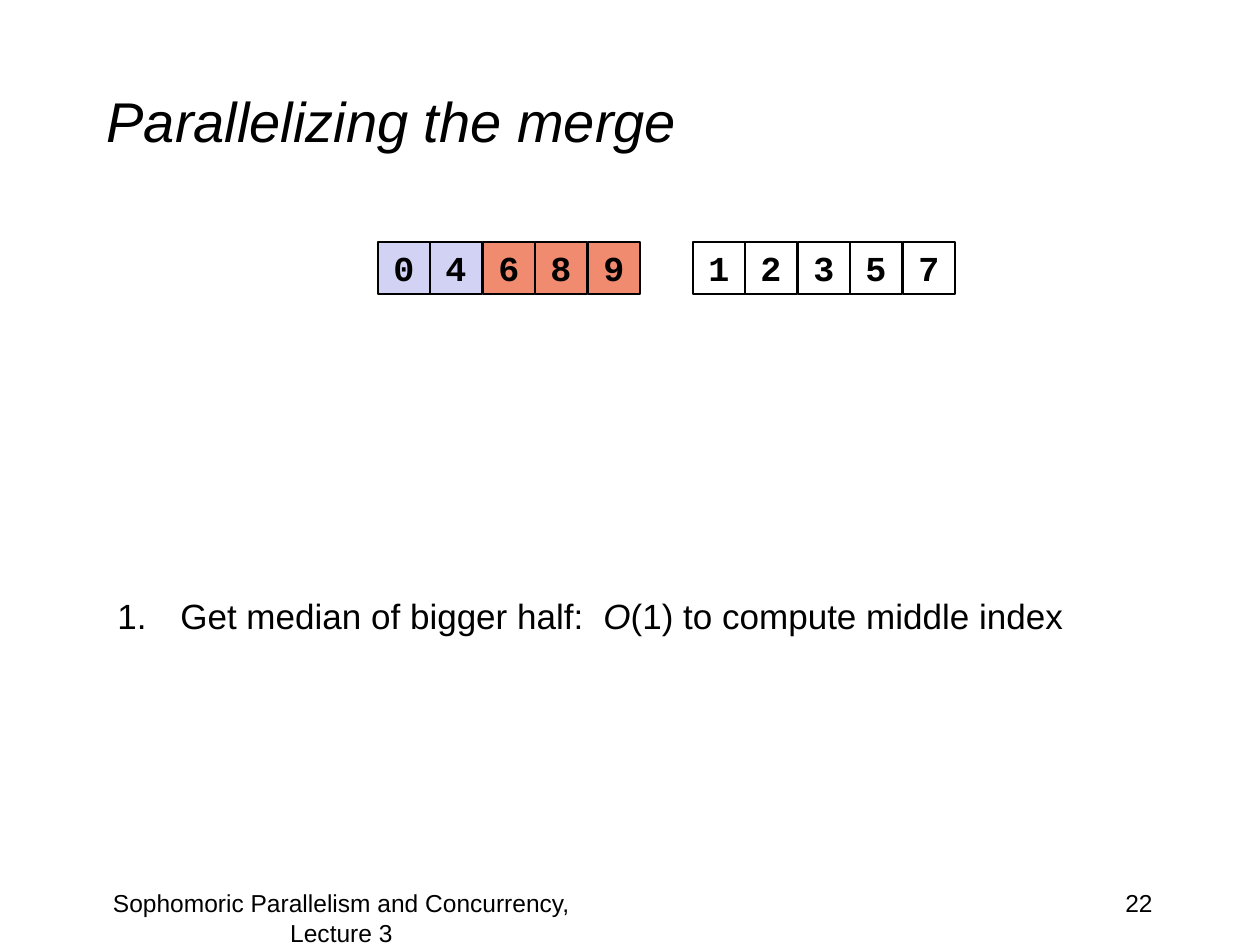
from lxml import etree
from pptx import Presentation
from pptx.dml.color import RGBColor
from pptx.enum import shapes, text
from pptx.oxml.ns import qn
from pptx.util import Emu, Pt

COLORS = {"ink": "000000", "lower": "D2D2F4", "upper": "F18B6F"}
PX = 914400 // 126
ALIGN = text.PP_ALIGN
ANCHOR = text.MSO_ANCHOR


def px(*lengths):
    return [Emu(length * PX) for length in lengths]


def write(paragraph, words, size=20, font="Arial", bold=False, italic=False, color="ink"):
    run = paragraph.add_run()
    run.text = words
    run.font.size = Pt(size)
    run.font.name = font
    run.font.bold = bold
    run.font.italic = italic
    run.font.color.rgb = RGBColor.from_string(COLORS[color])


class MergeSlide:
    cell_side = 52
    line_width = 0.75

    def __init__(self, deck):
        self.slide = deck.slides.add_slide(deck.slide_layouts[5])

    def title(self, words, *box):
        heading = self.slide.shapes.title
        heading.left, heading.top, heading.width, heading.height = px(*box)
        frame = heading.text_frame
        frame.vertical_anchor = ANCHOR.MIDDLE
        frame.paragraphs[0].alignment = ALIGN.LEFT
        write(frame.paragraphs[0], words, size=32, italic=True)

    def text_box(self, *box, align=ALIGN.LEFT):
        frame = self.slide.shapes.add_textbox(*px(*box)).text_frame
        frame.word_wrap = True
        frame.paragraphs[0].alignment = align
        return frame.paragraphs[0]

    def numbered_item(self, *box, indent=63):
        item = self.text_box(*box)
        item.space_before = Pt(4)
        properties = item._p.get_or_add_pPr()
        properties.set("marL", str(indent * PX))
        properties.set("indent", str(-indent * PX))
        etree.SubElement(properties, qn("a:buFont")).set("typeface", "+mj-lt")
        etree.SubElement(properties, qn("a:buAutoNum")).set("type", "arabicPeriod")
        return item

    def cell(self, value, left, top, fill=None):
        square = self.slide.shapes.add_shape(
            shapes.MSO_SHAPE.RECTANGLE, *px(left, top, self.cell_side, self.cell_side))
        square.shadow.inherit = False
        if fill:
            square.fill.solid()
            square.fill.fore_color.rgb = RGBColor.from_string(COLORS[fill])
        else:
            square.fill.background()
        square.line.color.rgb = RGBColor.from_string(COLORS["ink"])
        square.line.width = Pt(self.line_width)
        frame = square.text_frame
        frame.word_wrap = False
        frame.vertical_anchor = ANCHOR.MIDDLE
        frame.paragraphs[0].alignment = ALIGN.CENTER
        write(frame.paragraphs[0], str(value), font="Courier New", bold=True)

    def array(self, values, left, top, fills):
        # Five cells span 262 pixels, so the pitch is 52.5
        for i, (value, fill) in enumerate(zip(values, fills)):
            self.cell(value, left + i * 105 // 2, top, fill)


deck = Presentation()
deck.slide_width, deck.slide_height = px(1260, 945)
merge = MergeSlide(deck)

merge.title("Parallelizing the merge", 94, 42, 1071, 157)

# Footer
page_number = merge.text_box(903, 882, 262, 63, align=ALIGN.RIGHT)
write(page_number, "22", size=14)
lecture = merge.text_box(63, 882, 557, 63, align=ALIGN.CENTER)
write(lecture, "Sophomoric Parallelism and Concurrency, Lecture 3", size=14)

# The two sorted halves
merge.array([0, 4, 6, 8, 9], 378, 242, ["lower"] * 2 + ["upper"] * 3)
merge.array([1, 2, 3, 5, 7], 693, 242, [None] * 5)

# Steps of the merge
median_step = merge.numbered_item(105, 588, 1071, 242)
write(median_step, "Get median of bigger half:  ")
write(median_step, "O", italic=True)
write(median_step, "(1) to compute middle index")

deck.save("out.pptx")
